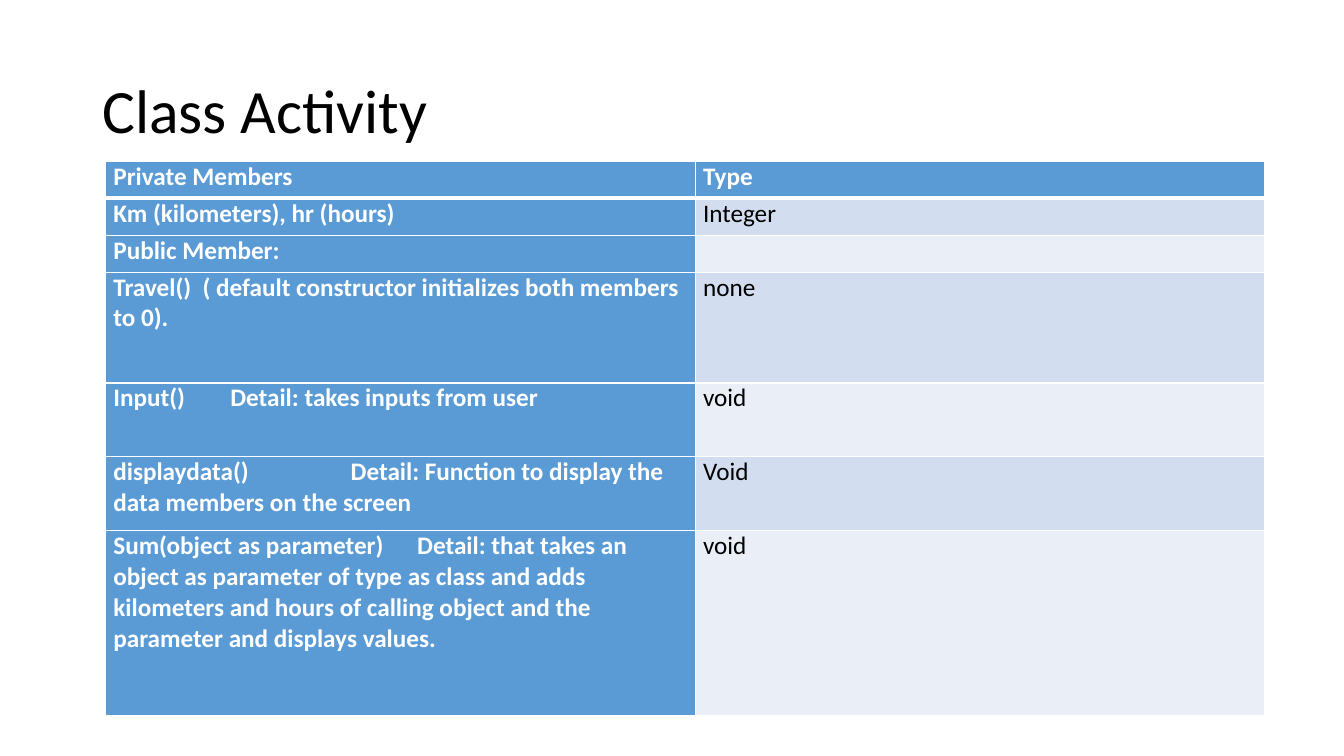
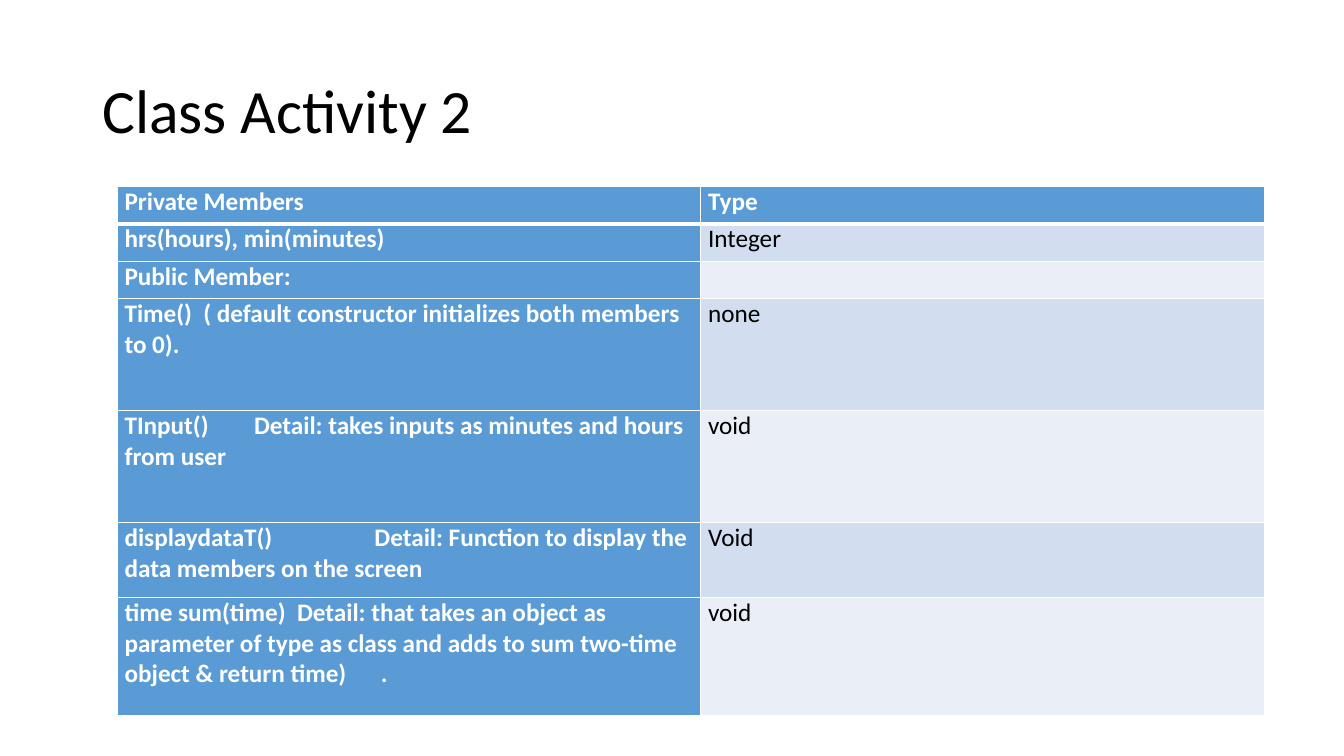
from lxml import etree
from pptx import Presentation
from pptx.dml.color import RGBColor
from pptx.enum.text import MSO_ANCHOR
from pptx.oxml.ns import qn
from pptx.util import Pt

MIDDLE = MSO_ANCHOR.MIDDLE
FONT = "Calibri"
BLACK = RGBColor(0x00, 0x00, 0x00)
WHITE = RGBColor(0xFF, 0xFF, 0xFF)
BLUE = RGBColor(0x5B, 0x9B, 0xD5)
BANDS = (RGBColor(0xD2, 0xDE, 0xEF), RGBColor(0xEA, 0xEF, 0xF7))
TITLE_BOX = (66, 28.8, 828, 104.4)
TABLE_RIGHT, TABLE_BOTTOM = 903.6, 511.2

TRAVEL_ROWS = [
    ("Private Members", "Type", 1, None),
    ("Km (kilometers), hr (hours)", "Integer", 1, None),
    ("Public Member:", "", 1, None),
    ("Travel()\u00a0 ( default constructor initializes both members to 0).", "none", 3, None),
    ("Input()\tDetail: takes inputs from user", "void", 2, 83.5),
    ("displaydata()\tDetail: Function to display the data members on the screen", "Void", 2, 169.5),
    ("Sum(object as parameter)\tDetail: that takes an object as parameter of type as class "
     "and adds kilometers and hours of calling object and the parameter and displays values.",
     "void", 5, 217),
]
TIME_ROWS = [
    ("Private Members", "Type", 1, None),
    ("hrs(hours), min(minutes)", "Integer", 1, None),
    ("Public Member:", "", 1, None),
    ("Time()\u00a0 ( default constructor initializes both members to 0).", "none", 3, None),
    ("TInput()\tDetail: takes inputs as minutes and hours from user", "void", 3, 92.5),
    ("displaydataT()\tDetail: Function to display the data members on the screen", "Void", 2, 178.5),
    ("time sum(time)\u00a0 Detail: that takes an object as parameter of type as class "
     "and adds to sum two-time object & return time)\t.", "void", 3.16, 183),
]


def write(tf, text, size=18, color=BLACK, bold=False, spacing=None, tab=None):
    """Write one formatted paragraph, with an optional tab stop in points."""
    p = tf.paragraphs[0]
    p.font.size = Pt(size)
    if spacing:
        p.line_spacing = spacing
    if tab:
        stops = etree.Element(qn("a:tabLst"))
        etree.SubElement(stops, qn("a:tab"), pos=str(Pt(tab)), algn="l")
        p._p.get_or_add_pPr().insert(0, stops)
    r = p.add_run()
    r.text = text
    r.font.name, r.font.size, r.font.bold = FONT, Pt(size), bold
    r.font.color.rgb = color


def add_title(s, box, text):
    """Place the slide title in its box."""
    tf = s.shapes.add_textbox(*map(Pt, box)).text_frame
    tf.word_wrap = True
    tf.vertical_anchor = MIDDLE
    write(tf, text, size=44, spacing=0.9)


def set_borders(cell, top=1, bottom=1):
    """Give a cell white borders with the given widths in points."""
    tc_pr = cell._tc.get_or_add_tcPr()
    for side, width in (("L", 1), ("R", 1), ("T", top), ("B", bottom)):
        line = etree.SubElement(tc_pr, qn("a:ln" + side), w=str(Pt(width)))
        fill = etree.SubElement(line, qn("a:solidFill"))
        etree.SubElement(fill, qn("a:srgbClr"), val=str(WHITE))


def fill_cell(cell, text, row, is_label, tab):
    """Format and fill a cell according to its place in the table."""
    strong = is_label or row == 0
    cell.margin_left = cell.margin_right = Pt(5.4)
    cell.margin_top = cell.margin_bottom = 0
    set_borders(cell, top=3 if row == 1 else 1, bottom=3 if row == 0 else 1)
    cell.fill.solid()
    cell.fill.fore_color.rgb = BLUE if strong else BANDS[(row - 1) % 2]
    write(cell.text_frame, text, color=WHITE if strong else BLACK, bold=strong, tab=tab)


def add_members_table(s, box, rows, label_width):
    """Place a table of class members; row heights share the box by line count."""
    left, top, width, height = box
    table = s.shapes.add_table(len(rows), 2, *map(Pt, box)).table
    table.first_row = table.horz_banding = False
    table.columns[0].width = Pt(label_width)
    table.columns[1].width = Pt(width - label_width)
    line_height = height / sum(lines for _, _, lines, _ in rows)
    for i, (label, kind, lines, tab) in enumerate(rows):
        table.rows[i].height = Pt(lines * line_height)
        fill_cell(table.cell(i, 0), label, i, True, tab)
        fill_cell(table.cell(i, 1), kind, i, False, None)


def add_activity_slide(prs, title, rows, left, top, label_width):
    """Add a slide with a title and a table reaching the shared lower right corner."""
    s = prs.slides.add_slide(prs.slide_layouts[6])
    add_title(s, TITLE_BOX, title)
    box = (left, top, TABLE_RIGHT - left, TABLE_BOTTOM - top)
    add_members_table(s, box, rows, label_width)


prs = Presentation()
prs.slide_width, prs.slide_height = Pt(960), Pt(540)
add_activity_slide(prs, "Class Activity", TRAVEL_ROWS, 75.6, 115.2, 421.2)
add_activity_slide(prs, "Class Activity 2", TIME_ROWS, 83.6, 133.2, 416.8)
prs.save("out.pptx")
